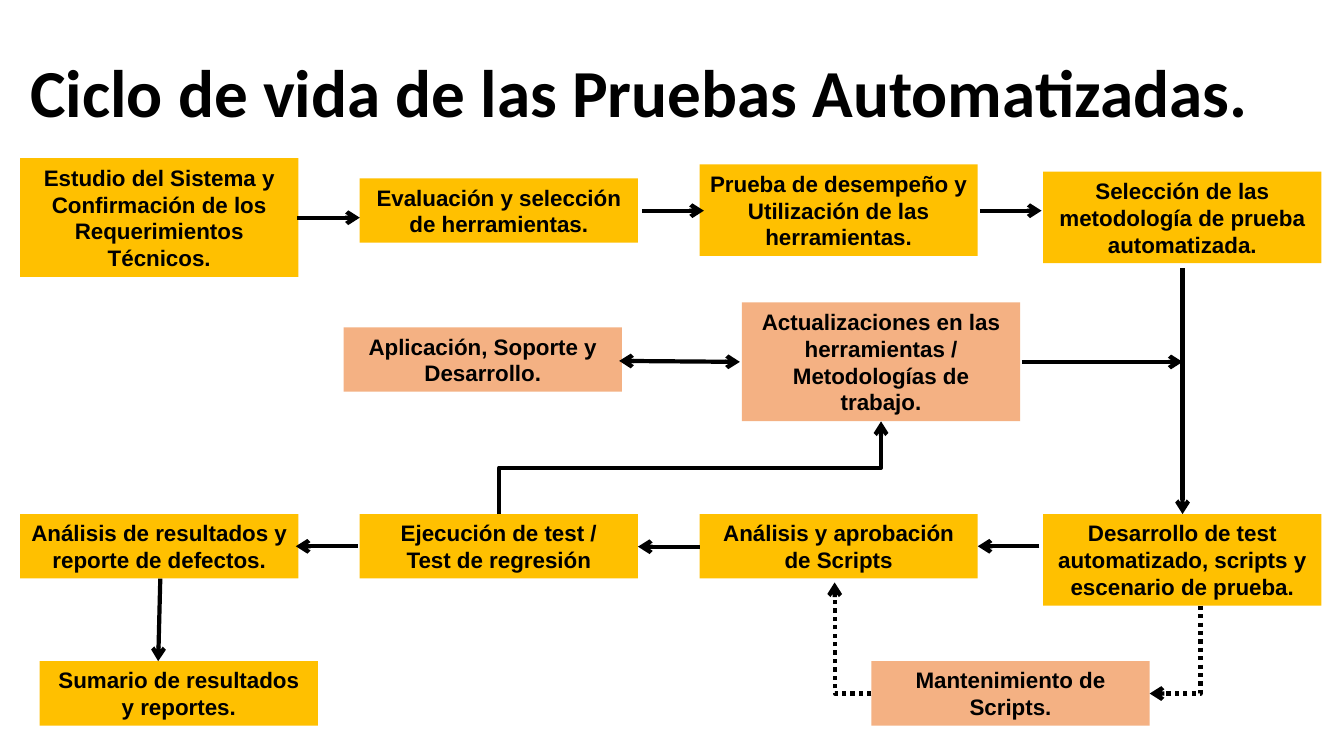
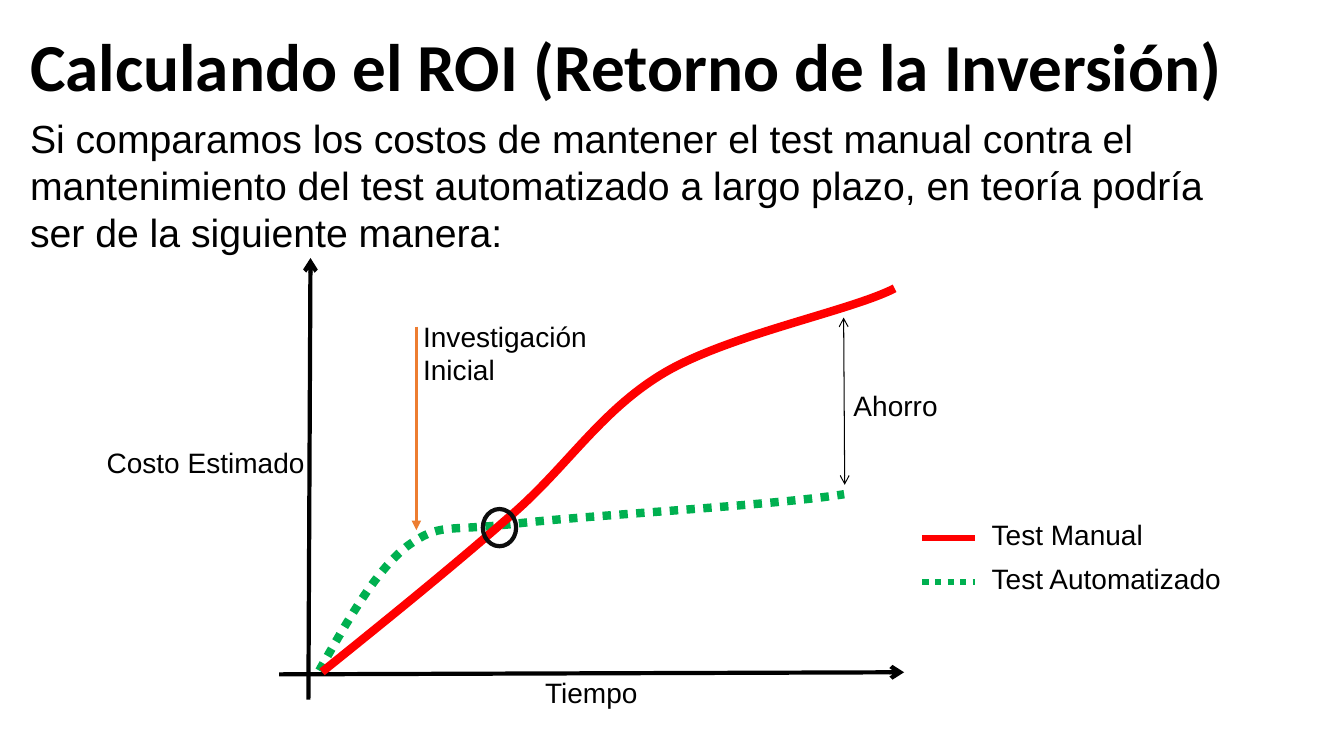
from pptx import Presentation
from pptx.dml.color import RGBColor
from pptx.enum.dml import MSO_LINE
from pptx.enum.shapes import MSO_CONNECTOR, MSO_SHAPE
from pptx.enum.text import MSO_ANCHOR, PP_ALIGN
from pptx.oxml.ns import qn
from pptx.util import Pt
from lxml import etree

# Shared look
BLACK = RGBColor(0x00, 0x00, 0x00)
SOFT_BLACK = RGBColor(0x0D, 0x0D, 0x0D)
AMBER = RGBColor(0xFF, 0xC0, 0x00)
PEACH = RGBColor(0xF4, 0xB1, 0x83)
RED = RGBColor(0xFF, 0x00, 0x00)
GREEN = RGBColor(0x00, 0xB0, 0x50)
ORANGE = RGBColor(0xED, 0x7D, 0x31)
TITLE_FONT, BODY_FONT = "Calibri", "Arial"
STRAIGHT, ELBOW = MSO_CONNECTOR.STRAIGHT, MSO_CONNECTOR.ELBOW
RECTANGLE, OVAL = MSO_SHAPE.RECTANGLE, MSO_SHAPE.OVAL
DOTTED = MSO_LINE.ROUND_DOT
LEFT, CENTER = PP_ALIGN.LEFT, PP_ALIGN.CENTER
TOP, MIDDLE = MSO_ANCHOR.TOP, MSO_ANCHOR.MIDDLE
TITLE_ONLY = 5
SLIDE_WIDTH, SLIDE_HEIGHT = 960, 540
MARGIN = 14.4

# Life cycle: column positions and row of the process boxes
COLUMNS = (MARGIN, 257, 499.7, 745.2)
PROCESS_ROW = 367.2
LAST_ROW = 472.3
BOX_WIDTH = 198.7
LINE_HEIGHT, BOX_PADDING = 19.4, 7.2

# Text, left, top, number of lines, fill
STEPS = [
    ("Estudio del Sistema y Confirmación de los Requerimientos Técnicos.",
     COLUMNS[0], 113, 4, AMBER),
    ("Evaluación y selección de herramientas.", COLUMNS[1], 127.4, 2, AMBER),
    ("Prueba de desempeño y Utilización de las herramientas.",
     COLUMNS[2], 117.4, 3, AMBER),
    ("Selección de las metodología de prueba automatizada.",
     COLUMNS[3], 122.5, 3, AMBER),
    ("Aplicación, Soporte y Desarrollo.", 245.5, 233.8, 2, PEACH),
    ("Actualizaciones en las herramientas / Metodologías de trabajo.",
     530, 216, 4, PEACH),
    ("Análisis de resultados y reporte de defectos.",
     COLUMNS[0], PROCESS_ROW, 2, AMBER),
    ("Ejecución de test /\nTest de regresión", COLUMNS[1], PROCESS_ROW, 2, AMBER),
    ("Análisis y aprobación de Scripts", COLUMNS[2], PROCESS_ROW, 2, AMBER),
    ("Desarrollo de test automatizado, scripts y escenario de prueba.",
     COLUMNS[3], PROCESS_ROW, 3, AMBER),
    ("Sumario de resultados y reportes.", 28.4, LAST_ROW, 2, AMBER),
    ("Mantenimiento de Scripts.", 622.5, LAST_ROW, 2, PEACH),
]

# Start, end, format
FLOW = [
    ((212.5, 155.5), (257, 155.5), {}),
    ((458.5, 150.5), (502.8, 150.5), {}),
    ((700, 150.5), (744, 150.5), {}),
    ((730, 258.5), (844.7, 258.5), {}),
    ((442.3, 257.8), (528.5, 258.5), {"head": "arrow"}),
    ((844.7, 191.7), (844.7, 367.2), {}),
    ((114.5, 413.3), (113, 472.3), {}),
    ((742.4, 390.2), (698.4, 390.2), {}),
    ((499.7, 390.5), (455.7, 390.5), {}),
    ((255.5, 390.2), (211.3, 390.2), {}),
    ((356.4, 367.2), (629.3, 301), {"turn": 90}),
    ((622.5, 495.4), (596.2, 416), {"turn": 180, "bends": 1, "dash": DOTTED}),
    ((857.5, 432.7), (821.2, 495.4), {"turn": 90, "bends": 1, "dash": DOTTED}),
]

# Return on investment: cubic curves as start point followed by control points
AUTOMATED_CURVE = [
    (228.2, 478.8), (247.7, 443.5), (267.8, 407.5), (290.9, 390.2),
    (314.6, 373), (316.8, 380.2), (368.6, 373.7),
    (420.5, 367.9), (553.7, 360.7), (602.6, 352.8)]
MANUAL_CURVE = [
    (229.7, 480.2), (276.5, 442.8), (323.3, 405.4), (364.3, 369.4),
    (405.4, 334.1), (429.1, 293), (475.2, 266.4),
    (520.6, 239), (607.7, 222.5), (638.6, 205.9)]
AXES = [((220.3, 499.7), (221.8, 184.3)), ((199.4, 481.7), (645.8, 480.2))]
INTRODUCTION = (
    "Si comparamos los costos de mantener el test manual contra el mantenimiento "
    "del test automatizado a largo plazo, en teoría podría ser de la siguiente manera:")
LABELS = [
    ("Tiempo", 382.3, 478.8, 112.3, 31.7),
    ("Costo Estimado", 69.1, 314.6, 167.8, 31.7),
    ("Investigación Inicial", 295.2, 224.6, 132.5, 55.4),
    ("Ahorro", 602.6, 274.3, 112.3, 31.7),
]
LEGEND = [("Test Manual", RED, None), ("Test Automatizado", GREEN, DOTTED)]
LEGEND_LEFT, LEGEND_TOP, LEGEND_STEP = 658.8, 384.5, 31.3


def write_text(frame, text, size=20, font=BODY_FONT, bold=False, color=BLACK,
               align=LEFT, anchor=TOP, spacing=None):
    frame.word_wrap = True
    frame.vertical_anchor = anchor
    frame.text = text
    for paragraph in frame.paragraphs:
        paragraph.alignment = align
        if spacing:
            paragraph.line_spacing = spacing
        for run in paragraph.runs:
            run.font.name, run.font.size = font, Pt(size)
            run.font.bold = bold
            run.font.color.rgb = color


def add_text(slide, text, left, top, width, height, **text_format):
    box = slide.shapes.add_textbox(Pt(left), Pt(top), Pt(width), Pt(height))
    write_text(box.text_frame, text, **text_format)


def add_titled_slide(presentation, text, top):
    slide = presentation.slides.add_slide(presentation.slide_layouts[TITLE_ONLY])
    title = slide.shapes.title
    title.left, title.top = Pt(MARGIN), Pt(top)
    title.width, title.height = Pt(916), Pt(67)
    write_text(title.text_frame, text, size=48, font=TITLE_FONT, bold=True,
               anchor=MIDDLE, spacing=0.9)
    return slide


def format_line(line, color, width, dash=None):
    line.color.rgb = color
    line.width = Pt(width)
    if dash:
        line.dash_style = dash


def add_line(slide, start, end, color=BLACK, width=3, dash=None,
             head=None, tail="arrow", turn=None, bends=2):
    """Draw a straight line, or an elbow when a turn in degrees is given."""
    if turn:
        # An elbow leaves sideways, so lay it out unturned around its centre
        center_x, center_y = (start[0] + end[0]) / 2, (start[1] + end[1]) / 2
        across, down = end[0] - start[0], end[1] - start[1]
        x, y = {90: (down, -across), 180: (-across, -down)}[turn]
        start = (center_x - x / 2, center_y - y / 2)
        end = (center_x + x / 2, center_y + y / 2)
    connector = slide.shapes.add_connector(
        ELBOW if turn else STRAIGHT, *(Pt(value) for value in (*start, *end)))
    format_line(connector.line, color, width, dash)
    properties = connector._element.spPr
    if turn:
        properties.find(qn("a:xfrm")).set("rot", str(turn * 60000))
        properties.find(qn("a:prstGeom")).set("prst", f"bentConnector{bends + 1}")
    outline = properties.find(qn("a:ln"))
    for tag, kind in (("a:headEnd", head), ("a:tailEnd", tail)):
        if kind:
            etree.SubElement(outline, qn(tag), type=kind)
    etree.SubElement(properties, qn("a:effectLst"))


def add_shape(slide, kind, left, top, width, height, fill=None):
    shape = slide.shapes.add_shape(kind, Pt(left), Pt(top), Pt(width), Pt(height))
    shape.shadow.inherit = False
    if fill is None:
        shape.fill.background()
    else:
        shape.fill.solid()
        shape.fill.fore_color.rgb = fill
        shape.line.fill.background()
    return shape


def add_curve(slide, points, color, dash=None):
    builder = slide.shapes.build_freeform(*points[0], scale=Pt(1))
    builder.add_line_segments(points[1:], close=False)
    curve = builder.convert_to_shape()
    curve.shadow.inherit = False
    curve.fill.background()
    format_line(curve.line, color, 6, dash)
    # Every three segments become one cubic curve
    segments = list(curve._element.iter(qn("a:lnTo")))
    outline = segments[0].getparent()
    for first in range(0, len(segments), 3):
        cubic = etree.SubElement(outline, qn("a:cubicBezTo"))
        for segment in segments[first:first + 3]:
            cubic.append(segment[0])
            outline.remove(segment)


def build_life_cycle(presentation):
    slide = add_titled_slide(
        presentation, "Ciclo de vida de las Pruebas Automatizadas.", 34.6)
    for text, left, top, lines, fill in STEPS:
        height = BOX_PADDING + LINE_HEIGHT * lines
        box = add_shape(slide, RECTANGLE, left, top, BOX_WIDTH, height, fill)
        write_text(box.text_frame, text, size=16, bold=True, align=CENTER,
                   anchor=MIDDLE)
    for start, end, line_format in FLOW:
        add_line(slide, start, end, **line_format)


def build_return(presentation):
    slide = add_titled_slide(
        presentation, "Calculando el ROI (Retorno de la Inversión)", 16.6)
    add_text(slide, INTRODUCTION, MARGIN, 77.8, 890.6, 108.7, size=28)

    # Axes, cost curves and break-even mark
    for start, end in AXES:
        add_line(slide, start, end)
    add_curve(slide, AUTOMATED_CURVE, GREEN, DOTTED)
    add_curve(slide, MANUAL_CURVE, RED)
    mark = add_shape(slide, OVAL, 344.9, 363.6, 23.8, 26.6)
    format_line(mark.line, SOFT_BLACK, 3)

    # Labels and their arrows
    for label in LABELS:
        add_text(slide, *label)
    add_line(slide, (297.4, 233.3), (297.4, 378.7), color=ORANGE, width=2.25,
             tail="triangle")
    add_line(slide, (602.6, 226.8), (603.4, 346.3), width=0.75, head="arrow")

    # Legend
    for index, (text, color, dash) in enumerate(LEGEND):
        y = LEGEND_TOP + index * LEGEND_STEP
        add_line(slide, (LEGEND_LEFT, y), (LEGEND_LEFT + 37.5, y), color=color,
                 width=4.5, dash=dash, tail=None)
        add_text(slide, text, LEGEND_LEFT + 42.5, y - 18.5, 178.6, 31.7)


def main():
    presentation = Presentation()
    presentation.slide_width = Pt(SLIDE_WIDTH)
    presentation.slide_height = Pt(SLIDE_HEIGHT)
    build_life_cycle(presentation)
    build_return(presentation)
    presentation.save("out.pptx")


if __name__ == "__main__":
    main()
